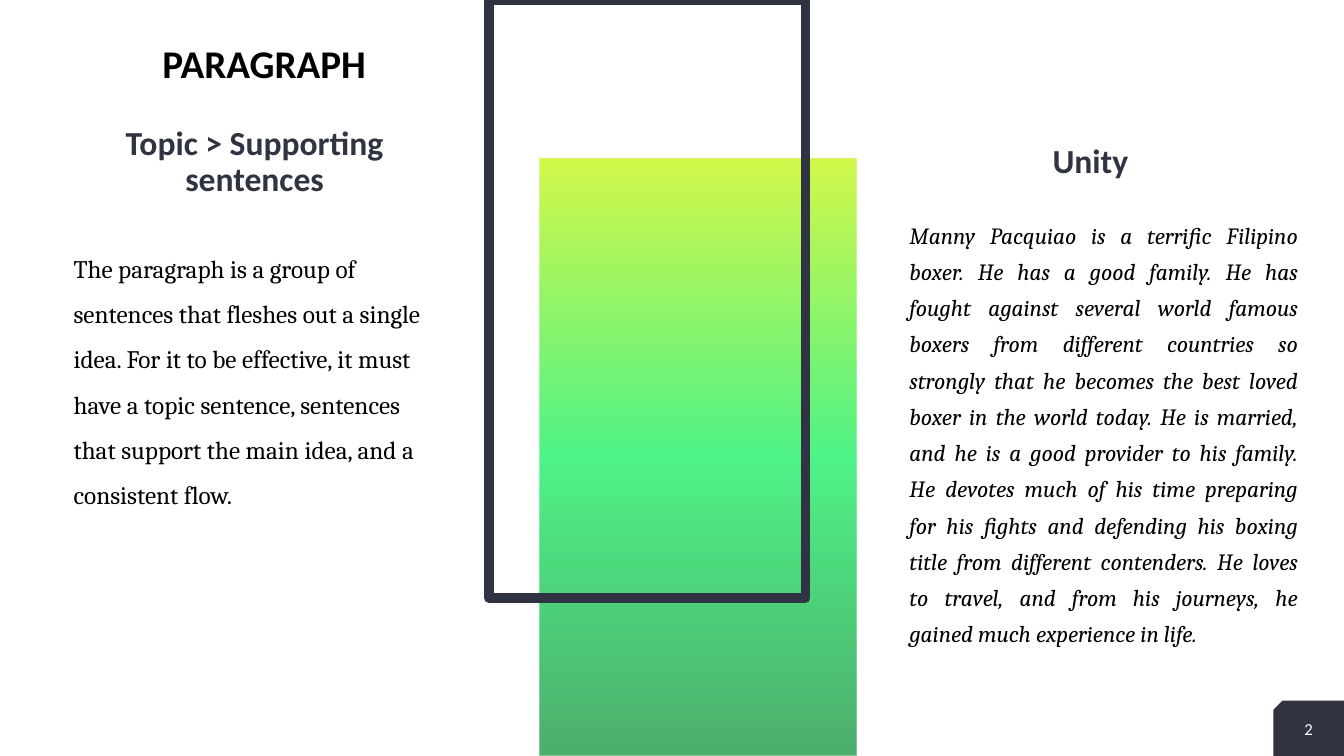
import pptx
import pptx.dml.color
import pptx.enum.shapes
import pptx.enum.text
import pptx.oxml
import pptx.oxml.ns
import pptx.util

PX = 9144  # EMU per px, 100 px to the inch
COMPARISON_LAYOUT = 4

RGBColor = pptx.dml.color.RGBColor
BLACK = RGBColor(0x00, 0x00, 0x00)
WHITE = RGBColor(0xFF, 0xFF, 0xFF)
SLATE = RGBColor(0x2F, 0x33, 0x42)
FOREST = RGBColor(0x03, 0x8B, 0x30)
GREEN = RGBColor(0x05, 0xEE, 0x55)
LIME = RGBColor(0xC0, 0xF4, 0x00)

SHAPE = pptx.enum.shapes.MSO_SHAPE
ALIGN = pptx.enum.text.PP_ALIGN
ANCHOR = pptx.enum.text.MSO_ANCHOR
Pt = pptx.util.Pt

DEFINITION = (
    "The paragraph is a group of sentences that fleshes out a single idea. "
    "For it to be effective, it must have a topic sentence, sentences that "
    "support the main idea, and a consistent flow."
)
EXAMPLE = (
    "Manny Pacquiao is a terrific Filipino boxer. He has a good family. "
    "He has fought against several world famous boxers from different "
    "countries so strongly that he becomes the best loved boxer in the world "
    "today. He is married, and he is a good provider to his family. He devotes "
    "much of his time preparing for his fights and defending his boxing title "
    "from different contenders. He loves to travel, and from his journeys, he "
    "gained much experience in life."
)


def text_style(name, size, color, anchor=ANCHOR.MIDDLE, bold=False, italic=False, **para):
    """Group the format values of a text by the object they belong to."""
    return {
        "frame": {"vertical_anchor": anchor, "word_wrap": True,
                  "auto_size": pptx.enum.text.MSO_AUTO_SIZE.NONE},
        "para": {"alignment": ALIGN.CENTER, "space_before": Pt(0), **para},
        "font": {"name": name, "size": Pt(size), "bold": bold, "italic": italic},
        "color": color,
    }


TITLE = text_style("Calibri", 28, BLACK, bold=True, line_spacing=0.9)
HEADING = text_style("Calibri", 24, SLATE, bold=True,
                     line_spacing=0.9, space_before=Pt(10))
BODY = text_style("Cambria", 18, BLACK, ANCHOR.TOP, alignment=ALIGN.LEFT,
                  line_spacing=1.5, space_before=Pt(10))
STORY = text_style("Cambria", 16.6, BLACK, ANCHOR.TOP, italic=True, alignment=ALIGN.JUSTIFY,
                   line_spacing=1.3, space_before=Pt(10))
NUMBER = text_style("Calibri", 12, WHITE)


def apply(target, values):
    for name, value in values.items():
        setattr(target, name, value)


class PageBuilder:
    def __init__(self, deck):
        self.page = deck.slides.add_slide(deck.slide_layouts[COMPARISON_LAYOUT])

    def fill_text(self, box, text, style):
        frame = box.text_frame
        apply(frame, style["frame"])
        para = frame.paragraphs[0]
        apply(para, style["para"])
        span = para.add_run()
        span.text = text
        apply(span.font, style["font"])
        span.font.color.rgb = style["color"]
        return para

    def placeholder(self, index, bounds, text, style):
        box = self.page.placeholders[index]
        apply(box, dict(zip(("left", "top", "width", "height"),
                            (value * PX for value in bounds))))
        para = self.fill_text(box, text, style)
        # Clear the bullet and hanging indent of the template
        properties = para._p.get_or_add_pPr()
        properties.set("marL", "0")
        properties.set("indent", "0")
        properties.append(pptx.oxml.parse_xml(
            f'<a:buNone {pptx.oxml.ns.nsdecls("a")}/>'))

    def shape(self, kind, bounds, fill=None, line=None, line_width=0):
        box = self.page.shapes.add_shape(kind, *(value * PX for value in bounds))
        box.shadow.inherit = False
        if fill is None:
            box.fill.background()
        else:
            box.fill.solid()
            box.fill.fore_color.rgb = fill
        if line is None:
            box.line.fill.background()
        else:
            box.line.color.rgb = line
            box.line.width = Pt(line_width)
        return box

    def gradient_panel(self, bounds, colors, opacity):
        box = self.shape(SHAPE.RECTANGLE, bounds, fill=colors[0])
        step = 100000 // (len(colors) - 1)
        stops = "".join(
            f'<a:gs pos="{place * step}"><a:srgbClr val="{color}">'
            f'<a:alpha val="{opacity * 1000}"/></a:srgbClr></a:gs>'
            for place, color in enumerate(colors))
        gradient = pptx.oxml.parse_xml(
            f'<a:gradFill {pptx.oxml.ns.nsdecls("a")} rotWithShape="1">'
            f'<a:gsLst>{stops}</a:gsLst><a:lin ang="16200000" scaled="0"/></a:gradFill>')
        properties = box.element.spPr
        properties.replace(properties.find(pptx.oxml.ns.qn("a:solidFill")), gradient)

    def text_box(self, bounds, text, style):
        box = self.page.shapes.add_textbox(*(value * PX for value in bounds))
        self.fill_text(box, text, style)


def main():
    deck = pptx.Presentation()
    deck.slide_width, deck.slide_height = 1333 * PX, 750 * PX
    builder = PageBuilder(deck)

    # Central panel and overlapping frame
    builder.gradient_panel((535, 157, 314, 593), (FOREST, GREEN, LIME), opacity=70)
    builder.shape(SHAPE.RECTANGLE, (485, 0, 314, 593), line=SLATE, line_width=7)

    # Title and the two text columns
    builder.placeholder(0, (65, 0, 394, 130), "PARAGRAPH", TITLE)
    builder.placeholder(1, (63, 116, 379, 90), "Topic > Supporting sentences", HEADING)
    builder.placeholder(2, (63, 231, 379, 403), DEFINITION, BODY)
    builder.placeholder(3, (892, 116, 379, 90), "Unity", HEADING)
    builder.placeholder(4, (892, 206, 405, 464), EXAMPLE, STORY)

    # Page number on its corner tab
    tab = builder.shape(SHAPE.SNIP_1_RECTANGLE, (1263, 695, 70, 55), fill=SLATE)
    tab.element.spPr.xfrm.set("flipH", "1")
    builder.text_box((1263, 701, 70, 45), "2", NUMBER)

    deck.save("out.pptx")


if __name__ == "__main__":
    main()
